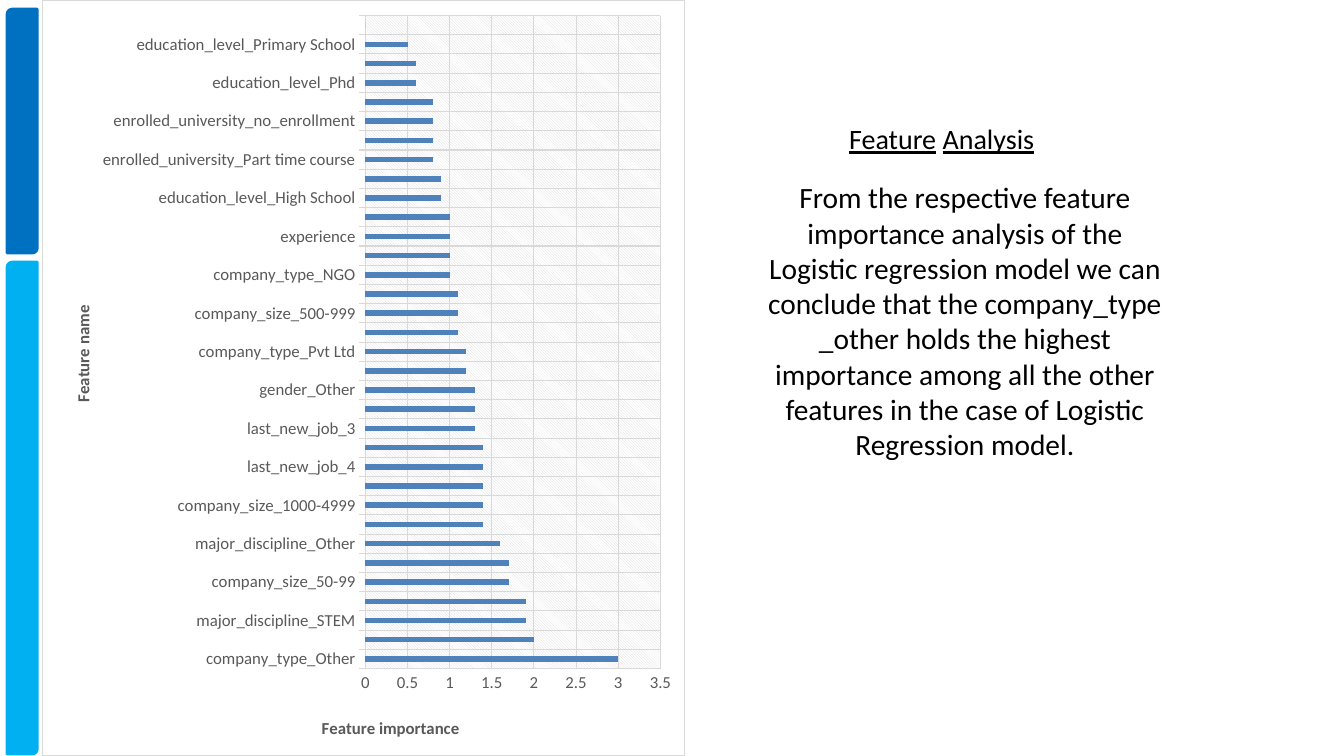
from lxml.etree import SubElement, fromstring
from pptx import Presentation
from pptx.chart.data import CategoryChartData as ChartData
from pptx.dml.color import RGBColor as Rgb
from pptx.enum.chart import XL_CHART_TYPE as Chart, XL_TICK_MARK as Tick
from pptx.enum.shapes import MSO_SHAPE as Shape
from pptx.enum.text import PP_ALIGN as Align
from pptx.oxml.ns import nsdecls, qn
from pptx.util import Inches, Pt

COLORS = {"deep": "0070C0", "sky": "00B0F0", "bar": "4F81BD", "ink": "000000",
          "label": "595959", "grid": "D9D9D9", "paper": "FFFFFF"}

DATA = [
    ("company_type_Other", 3), ("company_type_Public Sector", 2),
    ("major_discipline_STEM", 1.9), ("company_size_49", 1.9),
    ("company_size_50-99", 1.7), ("major_discipline_Business Degree", 1.7),
    ("major_discipline_Other", 1.6), ("company_size_<10", 1.4),
    ("company_size_1000-4999", 1.4), ("major_discipline_Humanities", 1.4),
    ("last_new_job_4", 1.4), ("relevent_experience_No relevent experience", 1.4),
    ("last_new_job_3", 1.3), ("company_size_10000+", 1.3),
    ("gender_Other", 1.3), ("company_size_5000-9999", 1.2),
    ("company_type_Pvt Ltd", 1.2), ("last_new_job_>4", 1.1),
    ("company_size_500-999", 1.1), ("last_new_job_2", 1.1),
    ("company_type_NGO", 1), ("training_hours", 1),
    ("experience", 1), ("gender_Male", 1),
    ("education_level_High School", 0.9), ("major_discipline_No Major", 0.9),
    ("enrolled_university_Part time course", 0.8), ("education_level_Masters", 0.8),
    ("enrolled_university_no_enrollment", 0.8), ("last_new_job_never", 0.8),
    ("education_level_Phd", 0.6), ("company_type_Funded Startup", 0.6),
    ("education_level_Primary School", 0.5), ("city_development_index", 0),
]

BODY = ("From the respective feature importance analysis of the Logistic regression "
        "model we can conclude that the company_type _other holds the highest "
        "importance among all the other features in the case of Logistic "
        "Regression model.")


def color(name):
    return Rgb.from_string(COLORS[name])


def place(node, index, **parts):
    layout = node.find(qn("c:layout"))
    if layout is None:
        layout = node.makeelement(qn("c:layout"))
        node.insert(index, layout)
    manual = SubElement(layout, qn("c:manualLayout"))
    for tag, value in parts.items():
        SubElement(manual, qn(f"c:{tag}")).set("val", str(value))


def paint(fill, line=""):
    return fromstring(f'<c:spPr {nsdecls("c", "a")}>{fill}{line}</c:spPr>')


def solid(name):
    return f'<a:solidFill><a:srgbClr val="{COLORS[name]}"/></a:solidFill>'


class Deck:
    font = "Calibri"

    def __init__(self):
        self.show = Presentation()
        self.show.slide_width, self.show.slide_height = Inches(13.33), Inches(7.5)
        self.slide = self.show.slides.add_slide(self.show.slide_layouts[6])
        self.shapes = self.slide.shapes

    def box(self, left, top, width, height):
        wide, high = self.show.slide_width / 100, self.show.slide_height / 100
        return [int(v) for v in (left * wide, top * high, width * wide, height * high)]

    def style(self, font, size, name, bold=None):
        font.name, font.size, font.bold = self.font, Pt(size), bold
        font.color.rgb = color(name)

    def stripe(self, name, *area):
        shape = self.shapes.add_shape(Shape.ROUND_2_DIAG_RECTANGLE, *self.box(*area))
        shape.shadow.inherit = False
        shape.fill.solid()
        shape.fill.fore_color.rgb = shape.line.color.rgb = color(name)
        shape.line.width = Pt(2)

    def text(self, runs, size, *area):
        frame = self.shapes.add_textbox(*self.box(*area)).text_frame
        frame.word_wrap = True
        frame.margin_left = frame.margin_right = Inches(0.07)
        frame.margin_top = frame.margin_bottom = Inches(0.04)
        para = frame.paragraphs[0]
        para.alignment = Align.CENTER
        for words, under in runs:
            run = para.add_run()
            run.text = words
            self.style(run.font, size, "ink")
            run.font.underline = under

    def axis(self, axis, title, tick, left, top):
        axis.has_major_gridlines = True
        axis.major_tick_mark, axis.minor_tick_mark = tick, Tick.NONE
        self.style(axis.tick_labels.font, 12, "label")
        for line in (axis.format.line, axis.major_gridlines.format.line):
            line.color.rgb, line.width = color("grid"), Pt(0.75)
        run = axis.axis_title.text_frame.paragraphs[0].add_run()
        run.text = title
        self.style(run.font, 12, "label", True)
        place(axis.axis_title._element, 1, xMode="edge", yMode="edge", x=left, y=top)

    def chart(self, rows, *area):
        data = ChartData()
        data.categories = [name for name, _ in rows]
        data.add_series("Series 1", [value for _, value in rows])
        chart = self.shapes.add_chart(Chart.BAR_CLUSTERED, *self.box(*area), data).chart
        chart.has_legend = chart.has_title = False
        self.style(chart.font, 10, "ink")
        plot = chart.plots[0]
        plot.gap_width, plot.overlap, plot.vary_by_categories = 247, -20, False
        fill = plot.series[0].format.fill
        fill.solid()
        fill.fore_color.rgb = color("bar")

        names, values = chart.category_axis, chart.value_axis
        self.axis(names, "Feature name", Tick.OUTSIDE, 0.04, 0.4)
        self.axis(values, "Feature importance", Tick.NONE, 0.43, 0.945)
        values.format.line.fill.background()
        values.minimum_scale, values.maximum_scale, values.major_unit = 0, 3.5, 0.5
        skip = names._element.makeelement(qn("c:tickLblSkip"), {"val": "2"})
        names._element.find(qn("c:noMultiLvlLbl")).addprevious(skip)

        body = chart._chartSpace.find(qn("c:chart"))
        field = body.find(qn("c:plotArea"))
        place(field, 0, layoutTarget="inner", xMode="edge", yMode="edge",
              x=0.503, y=0.02, w=0.46, h=0.865)
        field.append(paint(
            f'<a:pattFill prst="ltDnDiag"><a:fgClr><a:srgbClr val="{COLORS["grid"]}"/></a:fgClr>'
            f'<a:bgClr><a:srgbClr val="{COLORS["paper"]}"/></a:bgClr></a:pattFill>'))
        body.addnext(paint(solid("paper"), f'<a:ln w="{Pt(0.75)}">{solid("grid")}</a:ln>'))


def main():
    deck = Deck()
    deck.stripe("deep", 0.53, 1.2, 2.25, 32.27)
    deck.stripe("sky", 0.53, 34.67, 2.25, 65.07)
    deck.text([("Feature", True), (" ", False), ("Analysis", True)],
              20, 52.81, 15.6, 34.51, 5.47)
    deck.text([(BODY, None)], 21, 56.34, 23.2, 30.91, 43.47)
    deck.chart(DATA, 3.15, 0, 47.79, 100)
    deck.show.save("out.pptx")


if __name__ == "__main__":
    main()
